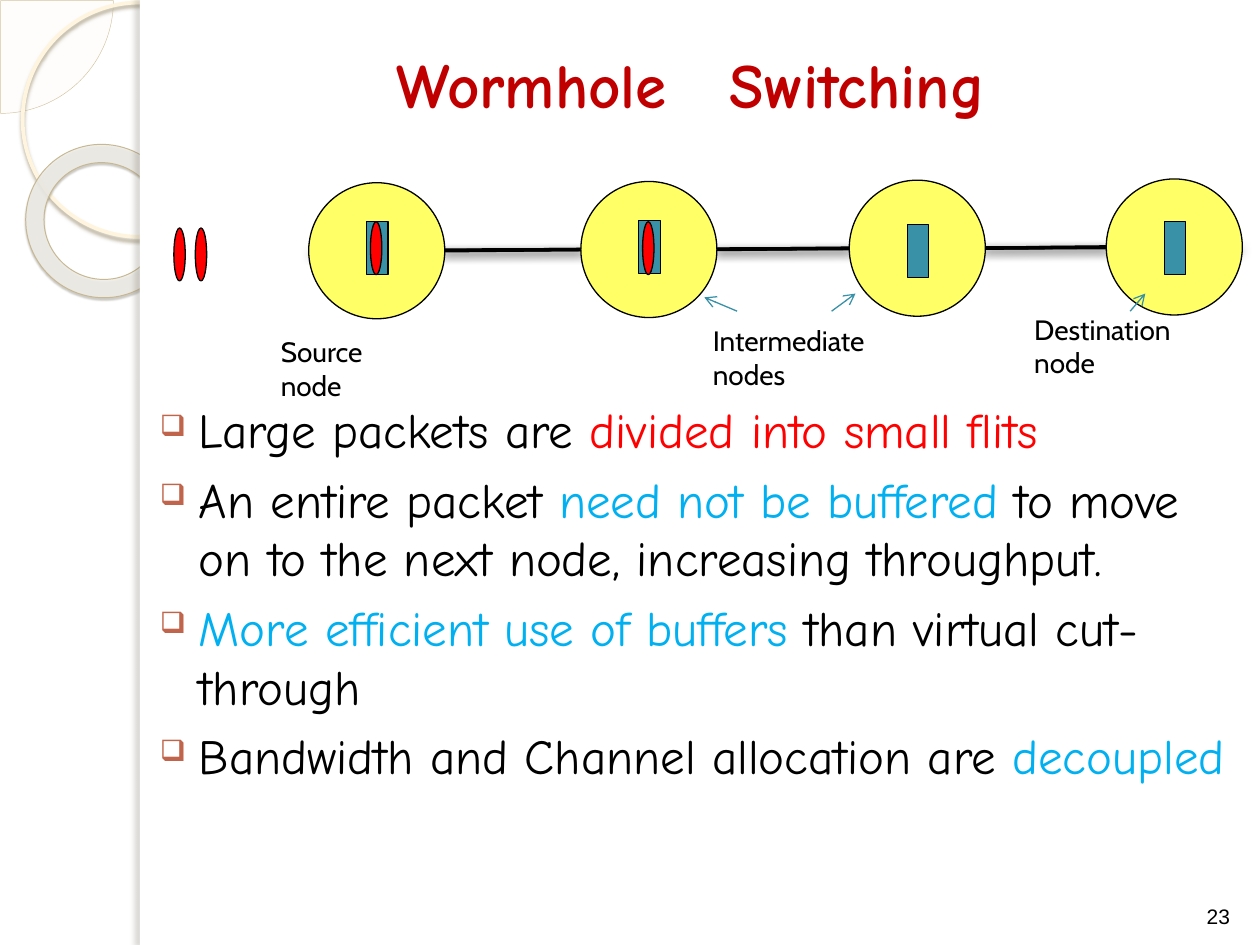
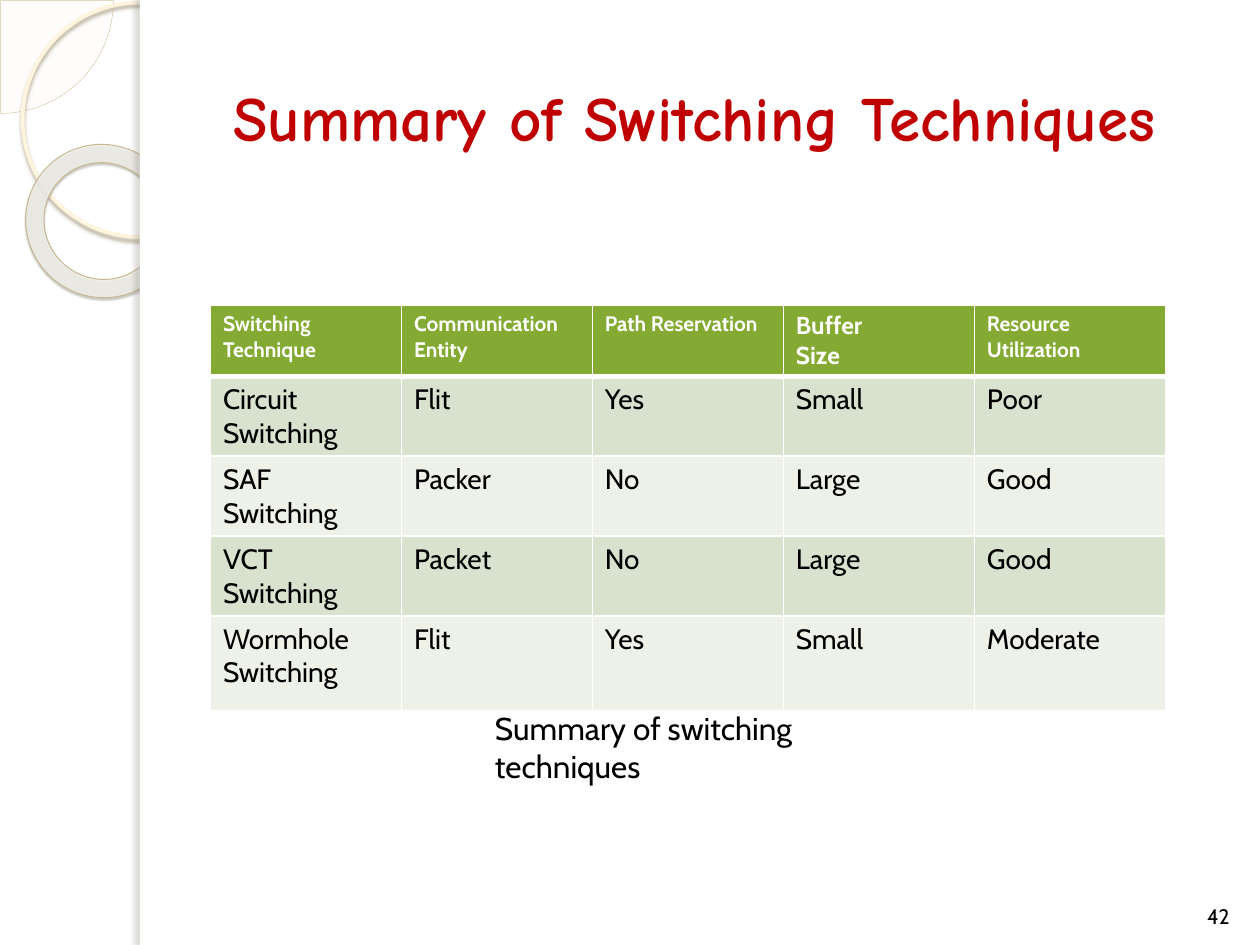
from lxml import etree
from pptx import Presentation
from pptx.dml.color import RGBColor
from pptx.enum.shapes import MSO_CONNECTOR, MSO_SHAPE
from pptx.enum.text import MSO_ANCHOR, MSO_AUTO_SIZE, PP_ALIGN
from pptx.oxml.ns import qn
from pptx.util import Inches, Pt

OVAL, RECT = MSO_SHAPE.OVAL, MSO_SHAPE.RECTANGLE
PIE, DONUT = MSO_SHAPE.PIE, MSO_SHAPE.DONUT
STRAIGHT = MSO_CONNECTOR.STRAIGHT
MIDDLE, BOTTOM = MSO_ANCHOR.MIDDLE, MSO_ANCHOR.BOTTOM
CENTER = PP_ALIGN.CENTER
NO_AUTOFIT = MSO_AUTO_SIZE.NONE

BLACK = RGBColor(0x00, 0x00, 0x00)
WHITE = RGBColor(0xFF, 0xFF, 0xFF)
RED = RGBColor(0xFF, 0x00, 0x00)
TITLE_RED = RGBColor(0xC0, 0x00, 0x00)
SKY = RGBColor(0x00, 0xB0, 0xF0)
TEAL = RGBColor(0x38, 0x91, 0xA7)
YELLOW = RGBColor(0xFF, 0xFF, 0x66)
CREAM = RGBColor(0xFE, 0xFA, 0xF4)
SAND = RGBColor(0xD3, 0xC3, 0x9F)
IVORY = RGBColor(0xFF, 0xF5, 0xDE)
STONE = RGBColor(0xEF, 0xEE, 0xE9)
KHAKI = RGBColor(0xC7, 0xB8, 0x93)
HEADER_GREEN = RGBColor(0x84, 0xAA, 0x33)
BAND_DARK = RGBColor(0xD9, 0xE2, 0xCE)
BAND_LIGHT = RGBColor(0xED, 0xF1, 0xE8)

BODY_FONT, HAND_FONT = "Cabin", "Comic Neue"


def add_figure(slide, kind, box, fill=None, line=None, width=0.75):
    figure = slide.shapes.add_shape(kind, *map(Inches, box))
    figure.shadow.inherit = False
    if fill is None:
        figure.fill.background()
    else:
        figure.fill.solid()
        figure.fill.fore_color.rgb = fill
    if line is None:
        figure.line.fill.background()
    else:
        figure.line.color.rgb = line
        figure.line.width = Pt(width)
    return figure


def add_label(slide, text, box, size, font=BODY_FONT):
    label = slide.shapes.add_textbox(*map(Inches, box))
    label.text_frame.word_wrap = True
    label.text_frame.text = text
    run_font = label.text_frame.paragraphs[0].runs[0].font
    run_font.name, run_font.size, run_font.color.rgb = font, Pt(size), BLACK
    return label


prs = Presentation()
prs.slide_width, prs.slide_height = Inches(10), Inches(7.5)
title_only = prs.slide_layouts[5]

# Shared frame: side ornaments, white page, title and slide number
frames = [
    ("Wormhole　Switching", (1.29, 0.25, 8.38, 0.83), "23", "Arial"),
    ("Summary of Switching Techniques", (1.25, 0.3, 8.52, 1.25), "42", BODY_FONT),
]
for heading, heading_box, number, number_font in frames:
    slide = prs.slides.add_slide(title_only)
    corner = add_figure(slide, PIE, (-0.89, -0.89, 1.79, 1.79), CREAM, SAND, 0.25)
    corner.adjustments[0], corner.adjustments[1] = 0, 54.02
    ring = add_figure(slide, OVAL, (0.18, 0.02, 1.86, 1.86), None, IVORY, 2.15)
    band = add_figure(slide, DONUT, (0.2, 1.15, 1.23, 1.21), STONE, KHAKI, 0.58)
    band.adjustments[0] = 0.12
    band.rotation = 38.6
    for ornament, opacity in ((corner, 33), (band, 85)):
        color = ornament.fill._xPr.find(qn("a:solidFill"))[0]
        etree.SubElement(color, qn("a:alpha"), val=str(opacity * 1000))
    add_figure(slide, RECT, (1.11, 0, 8.89, 7.5), WHITE)
    edge = add_figure(slide, RECT, (1.11, 0, 0.08, 7.5), WHITE)

    # Soft shadows: colour, opacity %, blur pt, distance pt, direction
    for ornament, tint, opacity, blur, distance, angle in (
        (ring, "B0A68F", 85, 2, 2, 90),
        (band, "5A5444", 35, 1, 1.2, 75),
        (edge, "736F63", 25, 3, 3, 180),
    ):
        effects = ornament._element.spPr.find(qn("a:effectLst"))
        shadow = etree.SubElement(effects, qn("a:outerShdw"), blurRad=str(Pt(blur)),
                                  dist=str(Pt(distance)), dir=str(angle * 60000))
        color = etree.SubElement(shadow, qn("a:srgbClr"), val=tint)
        etree.SubElement(color, qn("a:alpha"), val=str(opacity * 1000))

    title = slide.shapes.title
    slide.shapes._spTree.append(title._element)
    title.left, title.top, title.width, title.height = map(Inches, heading_box)
    title.text_frame.text = heading
    title.text_frame.word_wrap = True
    title.text_frame.auto_size = NO_AUTOFIT
    title.text_frame.vertical_anchor = MIDDLE
    title.text_frame.paragraphs[0].alignment = CENTER
    title_font = title.text_frame.paragraphs[0].runs[0].font
    title_font.name, title_font.size, title_font.bold = HAND_FONT, Pt(36), True
    title_font.color.rgb = TITLE_RED

    page = add_label(slide, number, (9.42, 6.9, 0.5, 0.52), 12, number_font)
    page.text_frame.vertical_anchor = BOTTOM
    page.text_frame.paragraphs[0].alignment = CENTER

wormhole, summary = prs.slides

# Links between nodes, then pointers from labels to nodes
links = [
    (2.45, 1.99, 9.86, 1.96), (3.53, 1.99, 4.61, 1.98),
    (5.7, 1.98, 6.74, 1.97), (7.82, 1.97, 8.78, 1.96),
]
pointers = [
    (5.85, 2.47, 5.59, 2.36), (6.6, 2.47, 6.79, 2.33), (8.97, 2.47, 9.09, 2.33),
]
pointer_lines = []
for ends in links + pointers:
    is_link = ends in links
    link = wormhole.shapes.add_connector(STRAIGHT, *map(Inches, ends))
    link.line.color.rgb = BLACK if is_link else TEAL
    link.line.width = Pt(2 if is_link else 0.75)
    if not is_link:
        etree.SubElement(link.line._get_or_add_ln(), qn("a:tailEnd"), type="arrow")
        pointer_lines.append(link)
    effects = etree.SubElement(link._element.spPr, qn("a:effectLst"))
    if is_link:
        shadow = etree.SubElement(effects, qn("a:outerShdw"), blurRad=str(Pt(5)),
                                  dist=str(Pt(2)), dir="5400000")
        color = etree.SubElement(shadow, qn("a:srgbClr"), val="000000")
        etree.SubElement(color, qn("a:alpha"), val="43000")

# Nodes with their buffers, then the flits
nodes = [(2.45, 1.76), (4.61, 1.75), (6.74, 1.78), (8.78, 1.76)]
for i, (left, buffer_top) in enumerate(nodes):
    add_figure(wormhole, OVAL, (left, 1.45 - 0.01 * i, 1.08, 1.08), YELLOW, BLACK)
    add_figure(wormhole, RECT, (left + 0.46, buffer_top, 0.17, 0.42), TEAL, BLACK)
for left, top in ((1.38, 1.81), (1.55, 1.81), (2.94, 1.76), (5.1, 1.76)):
    add_figure(wormhole, OVAL, (left, top, 0.09, 0.42), RED, BLACK)
for pointer in pointer_lines:
    wormhole.shapes._spTree.append(pointer._element)

add_label(wormhole, "Source node", (2.13, 2.61, 1.35, 0.37), 16)
add_label(wormhole, "Intermediate nodes", (5.56, 2.52, 1.97, 0.37), 16)
add_label(wormhole, "Destination node", (8.11, 2.43, 1.78, 0.37), 16)

# Key points
points = [
    [("Large packets are ", BLACK), ("divided into small flits", RED)],
    [("An entire packet ", BLACK), ("need not be buffered ", SKY),
     ("to move on to the next node, increasing throughput.", BLACK)],
    [("More efficient use of buffers ", SKY), ("than virtual cut-through", BLACK)],
    [("Bandwidth and Channel allocation are ", BLACK), ("decoupled", SKY)],
]
key_points = wormhole.shapes.add_textbox(
    Inches(1.08), Inches(2.89), Inches(8.78), Inches(4.17)).text_frame
key_points.word_wrap = True
for i, pieces in enumerate(points):
    point = key_points.add_paragraph() if i else key_points.paragraphs[0]
    if i:
        point.space_before = Pt(6)
    else:
        point.line_spacing = 1.5
    props = point._p.get_or_add_pPr()
    props.set("marL", str(Inches(0.4)))
    props.set("indent", str(Inches(-0.31)))
    bullet_color = etree.SubElement(props, qn("a:buClr"))
    etree.SubElement(bullet_color, qn("a:srgbClr"), val="C0654C")
    etree.SubElement(props, qn("a:buSzPct"), val="60000")
    etree.SubElement(props, qn("a:buChar"), char="❑")
    for text, color in pieces:
        run = point.add_run()
        run.text = text
        run.font.name, run.font.size = HAND_FONT, Pt(28)
        run.font.color.rgb = color

# Comparison table
rows = [
    ["Switching Technique", "Communication Entity", "Path Reservation",
     "Buffer\nSize", "Resource Utilization"],
    ["Circuit Switching", "Flit", "Yes", "Small", "Poor"],
    ["SAF\nSwitching", "Packer", "No", "Large", "Good"],
    ["VCT Switching", "Packet", "No", "Large", "Good"],
    ["Wormhole\nSwitching", "Flit", "Yes", "Small", "Moderate"],
]
row_heights = [0.5, 0.53, 0.53, 0.53, 0.75]
techniques = summary.shapes.add_table(
    len(rows), len(rows[0]), Inches(1.67), Inches(2.42), Inches(7.58), Inches(2.84)).table
for r, (values, height) in enumerate(zip(rows, row_heights)):
    techniques.rows[r].height = Inches(height)
    is_header = r == 0
    for c, value in enumerate(values):
        cell = techniques.cell(r, c)
        cell.text = value
        cell.fill.solid()
        cell.fill.fore_color.rgb = (
            HEADER_GREEN if is_header else BAND_DARK if r % 2 else BAND_LIGHT)
        size = 16 if not is_header else 14 if value.startswith("Buffer") else 12
        for paragraph in cell.text_frame.paragraphs:
            font = paragraph.runs[0].font
            font.name, font.size, font.bold = BODY_FONT, Pt(size), is_header
            font.color.rgb = WHITE if is_header else BLACK
        # White rules, thicker under the header
        for k, side in enumerate(("lnL", "lnR", "lnT", "lnB")):
            thick = (is_header and side == "lnB") or (r == 1 and side == "lnT")
            rule = etree.Element(qn("a:" + side), w=str(Pt(3 if thick else 1)))
            paint = etree.SubElement(rule, qn("a:solidFill"))
            etree.SubElement(paint, qn("a:srgbClr"), val="FFFFFF")
            cell._tc.get_or_add_tcPr().insert(k, rule)

add_label(summary, "Summary of switching techniques", (3.83, 5.58, 3.61, 0.4), 18)

prs.save("out.pptx")
